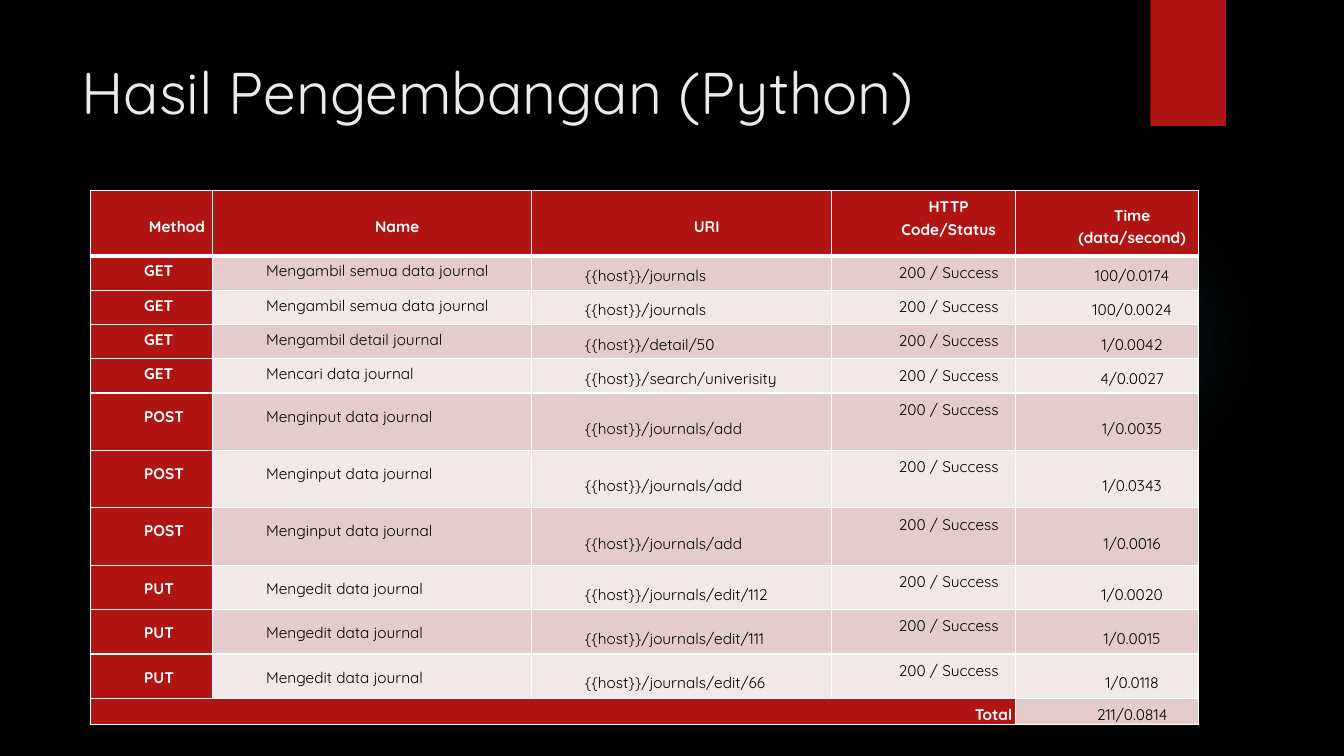
from lxml import etree
from pptx import Presentation
from pptx.dml.color import RGBColor
from pptx.enum.shapes import MSO_SHAPE
from pptx.enum.text import MSO_ANCHOR, PP_ALIGN
from pptx.oxml import parse_xml
from pptx.oxml.ns import nsdecls, qn
from pptx.util import Inches, Pt

LEFT, CENTER, RIGHT, JUSTIFY = PP_ALIGN.LEFT, PP_ALIGN.CENTER, PP_ALIGN.RIGHT, PP_ALIGN.JUSTIFY
TOP, MIDDLE = MSO_ANCHOR.TOP, MSO_ANCHOR.MIDDLE
RECTANGLE, OVAL = MSO_SHAPE.RECTANGLE, MSO_SHAPE.OVAL

FONT = "Quicksand"
COLORS = {
    "background": "000000",
    "accent": "B01513",
    "glow": "50B9C1",
    "title": "EBEBEB",
    "light": "FFFFFF",
    "dark": "000000",
    "odd": "E4CCCC",
    "even": "F2E8E7",
}

COLUMN_WIDTHS = [1.21, 3.16, 2.98, 1.82, 1.82]
ROW_HEIGHTS = [0.65] + [0.34] * 4 + [0.57] * 3 + [0.44] * 3 + [0.26]
HEADERS = ["Method", "Name", "URI", "HTTP Code/Status", "Time\n(data/second)"]
STATUS = "200 / Success"
REQUESTS = [
    ("GET", "Mengambil semua data journal", "journals", "100/0.0174"),
    ("GET", "Mengambil semua data journal", "journals", "100/0.0024"),
    ("GET", "Mengambil detail journal", "detail/50", "1/0.0042"),
    ("GET", "Mencari data journal", "search/univerisity", "4/0.0027"),
    ("POST", "Menginput data journal", "journals/add", "1/0.0035"),
    ("POST", "Menginput data journal", "journals/add", "1/0.0343"),
    ("POST", "Menginput data journal", "journals/add", "1/0.0016"),
    ("PUT", "Mengedit data journal", "journals/edit/112", "1/0.0020"),
    ("PUT", "Mengedit data journal", "journals/edit/111", "1/0.0015"),
    ("PUT", "Mengedit data journal", "journals/edit/66", "1/0.0118"),
]


def rgb(name):
    return RGBColor.from_string(COLORS[name])


class SlideBuilder:
    """Holds the style and the slide being built."""

    def __init__(self, slide):
        self.slide = slide
        slide.background.fill.solid()
        slide.background.fill.fore_color.rgb = rgb("background")

    def shape(self, kind, left, top, width, height, color):
        shape = self.slide.shapes.add_shape(
            kind, Inches(left), Inches(top), Inches(width), Inches(height))
        shape.shadow.inherit = False
        shape.line.fill.background()
        shape.fill.solid()
        shape.fill.fore_color.rgb = rgb(color)
        return shape

    def glow(self, left, top, diameter, stops):
        """Circle that fades outwards; stops are (position %, opacity %)."""
        glow = self.shape(OVAL, left, top, diameter, diameter, "glow")
        stops_xml = "".join(
            f'<a:gs pos="{position * 1000}"><a:srgbClr val="{COLORS["glow"]}">'
            f'<a:alpha val="{opacity * 1000}"/></a:srgbClr></a:gs>'
            for position, opacity in stops)
        gradient = parse_xml(
            f'<a:gradFill {nsdecls("a")}><a:gsLst>{stops_xml}</a:gsLst><a:path path="circle">'
            '<a:fillToRect l="50000" t="50000" r="50000" b="50000"/></a:path></a:gradFill>')
        solid = glow.element.spPr.find(qn("a:solidFill"))
        solid.getparent().replace(solid, gradient)

    def font(self, paragraph, size, color, bold=False):
        paragraph.font.name = FONT
        paragraph.font.size = Pt(size)
        paragraph.font.bold = bold
        paragraph.font.color.rgb = rgb(color)

    def title(self, text, left, top, width, height):
        box = self.slide.shapes.add_textbox(
            Inches(left), Inches(top), Inches(width), Inches(height))
        box.text_frame.word_wrap = True
        box.text_frame.text = text
        self.font(box.text_frame.paragraphs[0], 42, "title")

    def table(self, left, top, widths, heights):
        table = self.slide.shapes.add_table(
            len(heights), len(widths), Inches(left), Inches(top),
            Inches(sum(widths)), Inches(sum(heights))).table
        table.first_row = table.horz_banding = False
        for column, width in zip(table.columns, widths):
            column.width = Inches(width)
        for row, height in zip(table.rows, heights):
            row.height = Inches(height)
        return table

    def borders(self, cell, top=1, bottom=1):
        properties = cell._tc.get_or_add_tcPr()
        sides = {"lnL": 1, "lnR": 1, "lnT": top, "lnB": bottom}
        for position, (side, width) in enumerate(sides.items()):
            line = etree.Element(qn(f"a:{side}"), w=str(Pt(width)))
            fill = etree.SubElement(line, qn("a:solidFill"))
            etree.SubElement(fill, qn("a:srgbClr"), val=COLORS["light"])
            properties.insert(position, line)

    def cell(self, cell, text, fill, align=CENTER, anchor=MIDDLE, spacing=1.15,
             before=0, top=1, bottom=1):
        on_accent = fill == "accent"
        cell.fill.solid()
        cell.fill.fore_color.rgb = rgb(fill)
        self.borders(cell, top, bottom)
        cell.margin_left = cell.margin_right = Inches(0.03)
        cell.margin_top, cell.margin_bottom = Inches(0.04), 0
        cell.vertical_anchor = anchor
        cell.text = text
        for paragraph in cell.text_frame.paragraphs:
            paragraph.alignment = align
            paragraph.line_spacing = spacing
            paragraph.space_before = Pt(before)
            paragraph._p.get_or_add_pPr().set("marL", str(Inches(0.5)))
            self.font(paragraph, 11, "light" if on_accent else "dark", on_accent)


def add_results(builder):
    table = builder.table(0.9, 1.89, COLUMN_WIDTHS, ROW_HEIGHTS)
    status_style = {"anchor": TOP, "before": 6}

    for column, header in enumerate(HEADERS):
        style = status_style if header.startswith("HTTP") else {}
        builder.cell(table.cell(0, column), header, "accent", bottom=3, **style)

    for row, (method, name, route, time) in enumerate(REQUESTS, start=1):
        band = "odd" if row % 2 else "even"
        spacing = 1.07 if method == "GET" else 1.5
        top = 3 if row == 1 else 1
        cells = [
            (method, "accent", {"align": JUSTIFY, "anchor": TOP, "spacing": spacing}),
            (name, band, {"align": LEFT, "anchor": TOP, "spacing": spacing}),
            ("{{host}}/" + route, band, {"align": LEFT, "spacing": spacing}),
            (STATUS, band, status_style),
            (time, band, {"spacing": spacing}),
        ]
        for column, (text, fill, style) in enumerate(cells):
            builder.cell(table.cell(row, column), text, fill, top=top, **style)

    total_row = len(ROW_HEIGHTS) - 1
    total = table.cell(total_row, 0)
    total.merge(table.cell(total_row, 3))
    builder.cell(total, "Total", "accent", align=RIGHT)
    builder.cell(table.cell(total_row, 4), "211/0.0814", "odd")


def main():
    presentation = Presentation()
    presentation.slide_width = Inches(13.33)
    presentation.slide_height = Inches(7.5)
    blank = presentation.slide_layouts[6]
    builder = SlideBuilder(presentation.slides.add_slide(blank))
    builder.glow(9.41, 1.83, 3.08, [(0, 7), (36, 6), (69, 0)])
    builder.shape(RECTANGLE, 11.41, 0, 0.75, 1.25, "accent")
    builder.title("Hasil Pengembangan (Python)", 0.71, 0.5, 10.29, 1.53)
    add_results(builder)
    presentation.save("out.pptx")


if __name__ == "__main__":
    main()
